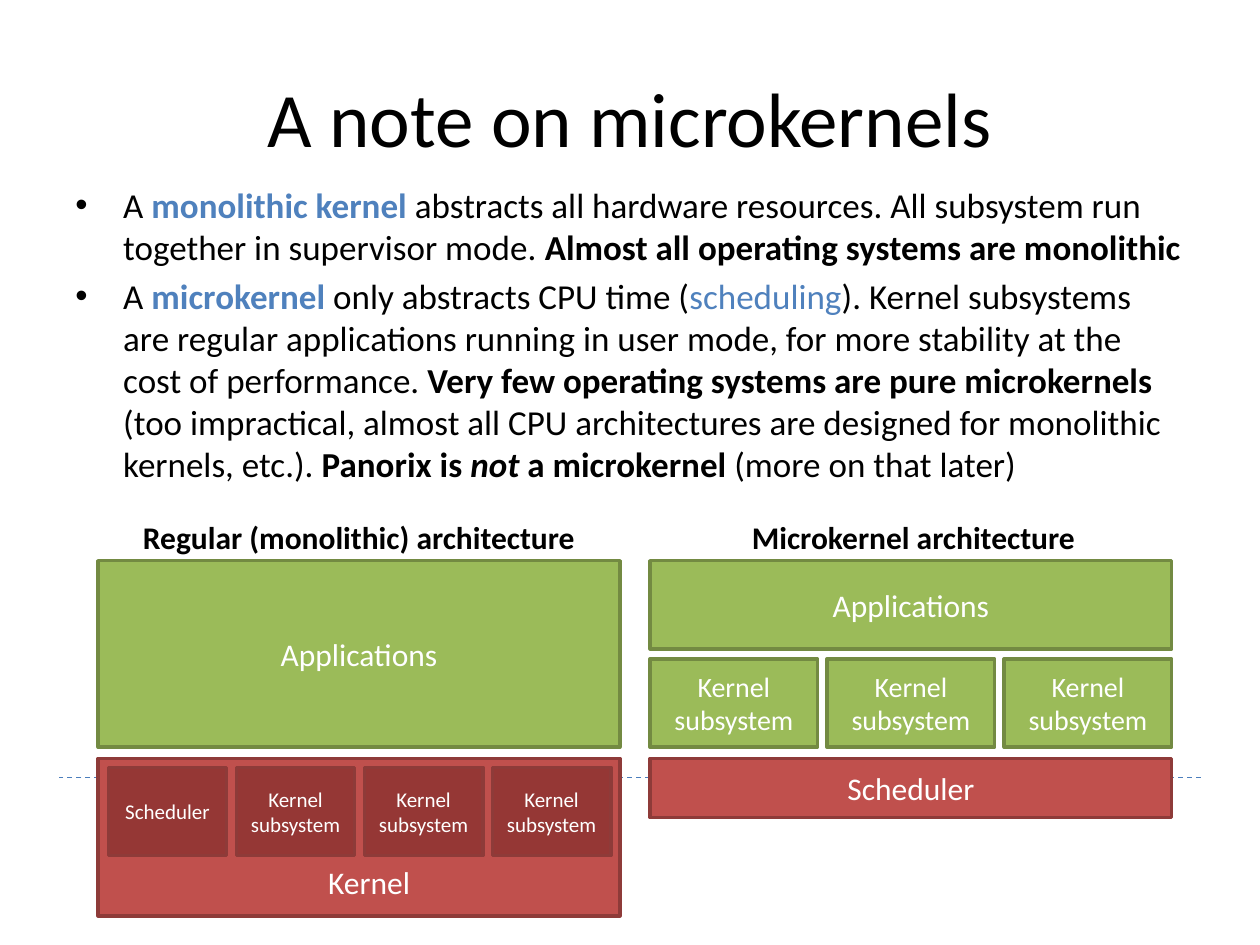
from lxml.etree import SubElement
from pptx import Presentation
from pptx.dml.color import RGBColor
from pptx.enum.dml import MSO_LINE
from pptx.enum.shapes import MSO_CONNECTOR, MSO_SHAPE
from pptx.enum.text import MSO_ANCHOR, PP_ALIGN
from pptx.oxml.ns import qn
from pptx.util import Inches, Pt

BLACK, WHITE, BLUE = "000000", "FFFFFF", "4F81BD"
# Fill and line colours
USER = ("9BBB59", "738A42")
KERNEL = ("C0504D", "8E3B39")
KERNEL_PART = ("953735", "8E3B39")

TITLE = "A note on microkernels"
BOLD = {"bold": True}
TERM = {"bold": True, "color": BLUE}
BULLETS = [
    [("A ", {}), ("monolithic kernel", TERM),
     (" abstracts all hardware resources. All subsystem run together in supervisor mode. ", {}),
     ("Almost all operating systems are monolithic", BOLD)],
    [("A ", {}), ("microkernel", TERM),
     (" only abstracts CPU time (", {}), ("scheduling", {"color": BLUE}),
     ("). Kernel subsystems are regular applications running in user mode, "
      "for more stability at the cost of performance. ", {}),
     ("Very few operating systems are pure microkernels", BOLD),
     (" (too impractical, almost all CPU architectures are designed for "
      "monolithic kernels, etc.). ", {}),
     ("Panorix is ", BOLD), ("not", {"bold": True, "italic": True}),
     (" a microkernel", BOLD), (" (more on that later)", {})],
]

# Diagram columns and rows, in inches
LEFT, RIGHT, WIDTH = 0.78, 5.16, 4.14
USER_TOP, SERVICE_TOP, KERNEL_TOP = 4.45, 5.23, 6.02
ROW_HEIGHT = 0.7


def rgb(color):
    return RGBColor.from_string(color)


def add_text(para, text, size=18, color=BLACK, bold=False, italic=False, align=None):
    span = para.add_run()
    span.text = text
    span.font.name = "Calibri"
    span.font.size = Pt(size)
    span.font.bold = bold
    span.font.italic = italic
    span.font.color.rgb = rgb(color)
    if align is not None:
        para.alignment = align


def add_block(page, left, top, width, height, colors, text="", size=18):
    fill, line = colors
    box = page.shapes.add_shape(MSO_SHAPE.RECTANGLE, Inches(left), Inches(top),
                                Inches(width), Inches(height))
    box.shadow.inherit = False
    box.fill.solid()
    box.fill.fore_color.rgb = rgb(fill)
    box.line.color.rgb = rgb(line)
    box.line.width = Pt(2)
    if text:
        box.text_frame.vertical_anchor = MSO_ANCHOR.MIDDLE
        add_text(box.text_frame.paragraphs[0], text, size=size, color=WHITE,
                 align=PP_ALIGN.CENTER)


def add_row(page, left, top, width, pitch, colors, labels, size):
    for index, label in enumerate(labels):
        add_block(page, left + index * pitch, top, width, ROW_HEIGHT, colors, label, size)


def add_label(page, left, top, width, text, **text_format):
    box = page.shapes.add_textbox(Inches(left), Inches(top), Inches(width), Inches(0.4))
    box.text_frame.word_wrap = False
    add_text(box.text_frame.paragraphs[0], text, align=PP_ALIGN.CENTER, **text_format)


def add_mode_boundary(page):
    line = page.shapes.add_connector(MSO_CONNECTOR.STRAIGHT, Inches(9.53), Inches(6.17),
                                     Inches(0.47), Inches(6.17))
    line.line.color.rgb = rgb("4B7EBC")
    line.line.width = Pt(0.75)
    line.line.dash_style = MSO_LINE.DASH
    SubElement(line._element.spPr, qn("a:effectLst"))


def set_title(page):
    title = page.shapes.title
    title.left, title.top = Inches(0.5), Inches(0.3)
    title.width, title.height = Inches(9), Inches(1.25)
    title.text_frame.vertical_anchor = MSO_ANCHOR.MIDDLE
    add_text(title.text_frame.paragraphs[0], TITLE, size=44, align=PP_ALIGN.CENTER)


def add_bullets(page):
    box = page.shapes.add_textbox(Inches(0.5), Inches(1.41), Inches(9), Inches(4.95))
    frame = box.text_frame
    frame.word_wrap = True
    for index, spans in enumerate(BULLETS):
        para = frame.add_paragraph() if index else frame.paragraphs[0]
        para.space_before = Pt(4)
        properties = para._p.get_or_add_pPr()
        properties.set("marL", str(Inches(0.38)))
        properties.set("indent", str(-Inches(0.38)))
        SubElement(properties, qn("a:buFont"), typeface="Arial")
        SubElement(properties, qn("a:buChar"), char="•")
        for text, text_format in spans:
            add_text(para, text, size=20, **text_format)


def add_monolithic(page):
    add_label(page, 1.03, 4.06, 3.64, "Regular (monolithic) architecture", bold=True)
    add_block(page, LEFT, USER_TOP, WIDTH, 1.48, USER, "Applications")
    add_block(page, LEFT, KERNEL_TOP, WIDTH, 1.25, KERNEL)
    add_row(page, 0.86, 6.09, 0.94, 1.016, KERNEL_PART,
            ["Scheduler"] + ["Kernel subsystem"] * 3, size=12)
    add_label(page, 2.5, 6.8, 0.86, "Kernel", color=WHITE)


def add_microkernel(page):
    add_label(page, 5.86, 4.06, 2.78, "Microkernel architecture", bold=True)
    add_block(page, RIGHT, USER_TOP, WIDTH, ROW_HEIGHT, USER, "Applications")
    add_row(page, RIGHT, SERVICE_TOP, 1.33, 1.405, USER, ["Kernel subsystem"] * 3, size=16)
    add_block(page, RIGHT, KERNEL_TOP, WIDTH, 0.47, KERNEL, "Scheduler")


def main():
    deck = Presentation()
    deck.slide_width, deck.slide_height = Inches(10), Inches(7.5)
    page = deck.slides.add_slide(deck.slide_layouts[5])
    set_title(page)
    add_bullets(page)
    # The boundary lies behind both diagrams
    add_mode_boundary(page)
    add_monolithic(page)
    add_microkernel(page)
    deck.save("out.pptx")


if __name__ == "__main__":
    main()
